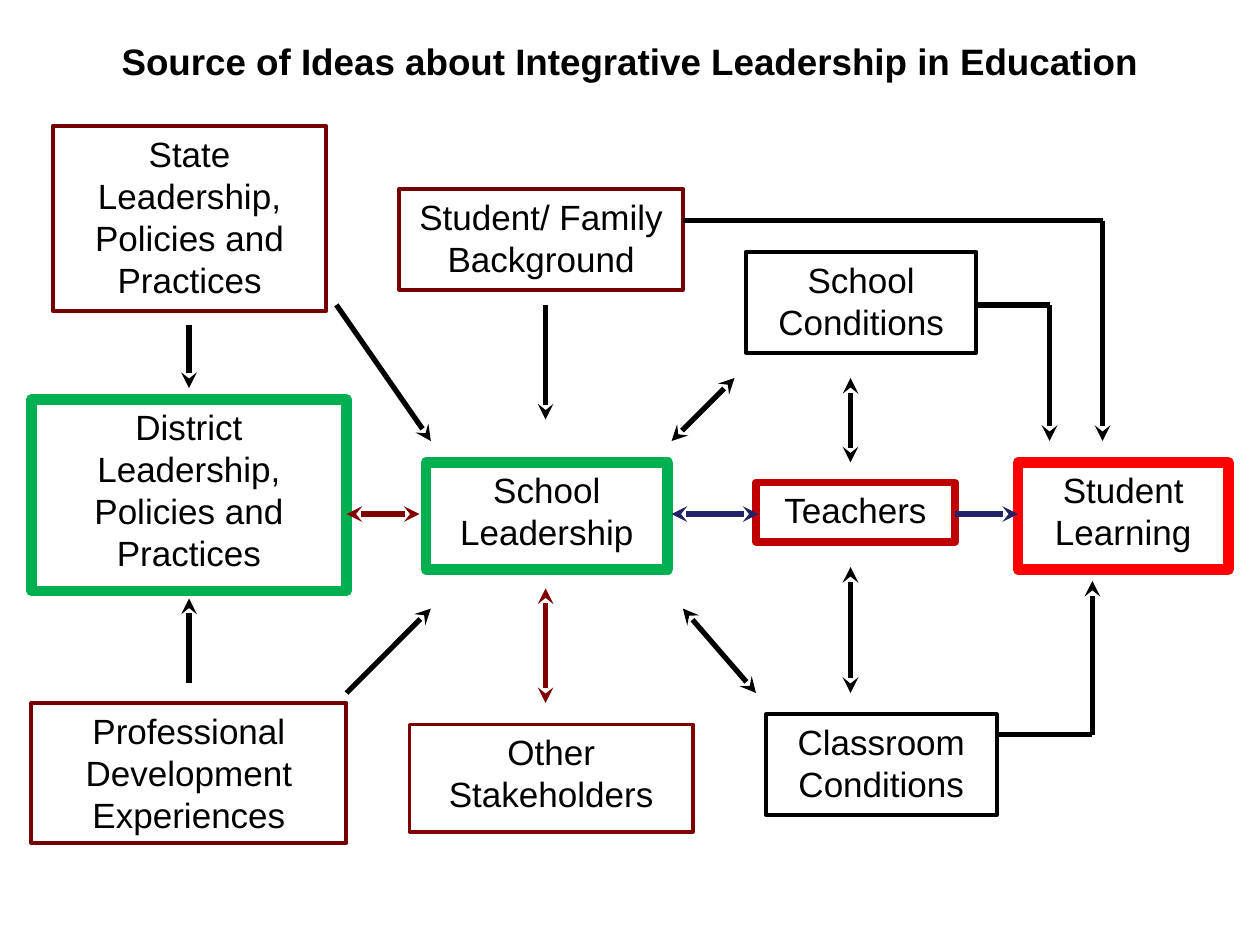
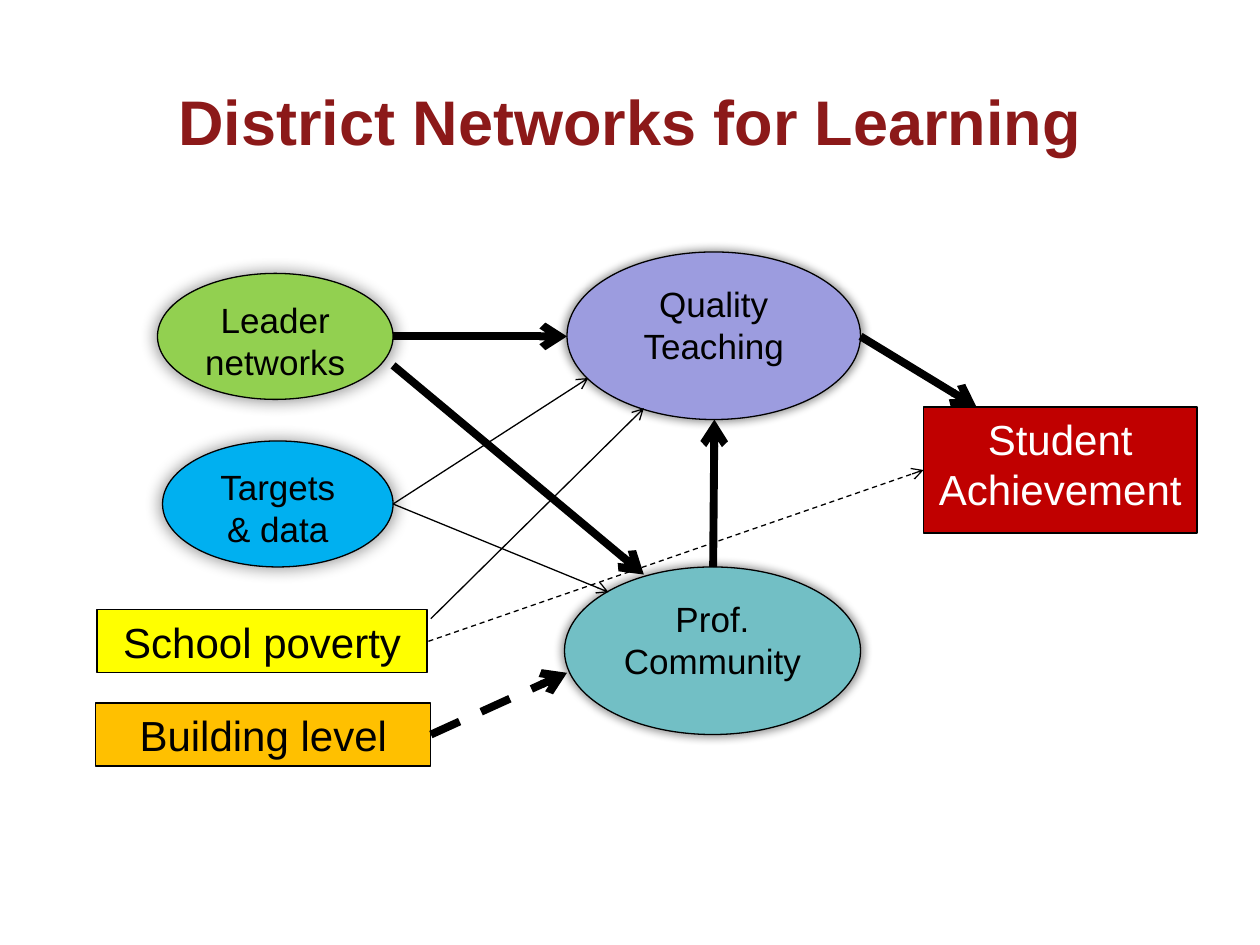
from dataclasses import dataclass
from itertools import pairwise
from typing import Optional

from lxml import etree
from pptx import Presentation
from pptx.dml.color import RGBColor
from pptx.enum.dml import MSO_LINE
from pptx.enum.shapes import MSO_CONNECTOR, MSO_SHAPE
from pptx.enum.text import MSO_ANCHOR, MSO_AUTO_SIZE, PP_ALIGN
from pptx.oxml.ns import qn
from pptx.util import Inches, Pt

RECTANGLE, OVAL = MSO_SHAPE.RECTANGLE, MSO_SHAPE.OVAL
STRAIGHT, DASH = MSO_CONNECTOR.STRAIGHT, MSO_LINE.DASH
CENTER = PP_ALIGN.CENTER
TOP, MIDDLE = MSO_ANCHOR.TOP, MSO_ANCHOR.MIDDLE
FIXED, GROW = MSO_AUTO_SIZE.NONE, MSO_AUTO_SIZE.SHAPE_TO_FIT_TEXT
TITLE_ONLY_LAYOUT = 5


@dataclass(frozen=True)
class Theme:
    font: str = "Arial"
    black: str = "000000"
    white: str = "FFFFFF"
    title_red: str = "8C1919"
    maroon: str = "740000"
    stakeholder_red: str = "800000"
    teacher_red: str = "C00000"
    learning_red: str = "FF0000"
    leader_green: str = "00B050"
    navy: str = "222267"
    lime: str = "92D050"
    sky: str = "00B0F0"
    teal: str = "72BFC5"
    lavender: str = "9C9CDF"
    yellow: str = "FFFF00"
    amber: str = "FFC000"
    diagram_title_size: float = 21
    slide_title_size: float = 36
    label_size: float = 20
    large_label_size: float = 24
    hairline: float = 0.75
    outline: float = 2.25
    arrow: float = 3
    heavy: float = 4.5
    frame: float = 6


THEME = Theme()


@dataclass(frozen=True)
class Node:
    text: str
    left: float
    top: float
    width: float
    height: float
    line_color: str = THEME.black
    line_width: float = THEME.hairline
    fill: Optional[str] = None
    kind: MSO_SHAPE = RECTANGLE
    size: float = THEME.label_size
    text_color: str = THEME.black
    shadow_blur: float = 0


@dataclass(frozen=True)
class Route:
    """A line through points, with an arrowhead at its end or at both ends."""
    points: tuple
    color: str = THEME.black
    width: float = THEME.arrow
    both: bool = False
    dashed: bool = False
    head: str = "stealth"


def outlined(text, left, top, width, height, color, line_width=THEME.outline) -> Node:
    return Node(text, left, top, width, height, color, line_width)


def oval(text, left, top, width, height, fill, blur) -> Node:
    return Node(text, left, top, width, height, fill=fill, kind=OVAL, shadow_blur=blur)


def panel(text, left, top, width, height, fill, text_color=THEME.black) -> Node:
    return Node(text, left, top, width, height, fill=fill,
                size=THEME.large_label_size, text_color=text_color)


def open_arrow(start, end, width=THEME.hairline, dashed=False) -> Route:
    return Route((start, end), width=width, dashed=dashed, head="arrow")


LEADERSHIP_NODES = [
    outlined("School Leadership", 3.38, 3.67, 1.92, 0.85, THEME.leader_green, THEME.frame),
    outlined("Student Learning", 8.08, 3.67, 1.67, 0.85, THEME.learning_red, THEME.frame),
    outlined("Teachers", 6, 3.83, 1.58, 0.47, THEME.teacher_red, THEME.heavy),
    outlined("School Conditions", 5.92, 2, 1.83, 0.8, THEME.black),
    outlined("Classroom Conditions", 6.08, 5.67, 1.83, 0.8, THEME.black),
    outlined("Student/ Family Background", 3.17, 1.5, 2.25, 0.8, THEME.maroon),
    outlined("Other Stakeholders", 3.25, 5.75, 2.25, 0.85, THEME.stakeholder_red),
    outlined("State Leadership, Policies and Practices", 0.42, 1, 2.17, 1.47, THEME.maroon),
    outlined("District Leadership, Policies and Practices", 0.25, 3.17, 2.5, 1.52,
             THEME.leader_green, THEME.frame),
    outlined("Professional Development Experiences", 0.25, 5.58, 2.5, 1.11, THEME.maroon),
]

DISTRICT_X, SCHOOL_X, TEACHER_X, MAIN_ROW_Y = 1.5, 4.33, 6.75, 4.08
LEADERSHIP_ROUTES = [
    Route(((5.33, MAIN_ROW_Y), (6.02, MAIN_ROW_Y)), THEME.navy, both=True),
    Route(((7.58, MAIN_ROW_Y), (8.08, MAIN_ROW_Y)), THEME.navy),
    Route(((2.75, MAIN_ROW_Y), (3.33, MAIN_ROW_Y)), THEME.stakeholder_red, both=True),
    Route(((DISTRICT_X, 2.58), (DISTRICT_X, 3.08))),
    Route(((DISTRICT_X, 5.42), (DISTRICT_X, 4.75))),
    Route(((SCHOOL_X, 2.42), (SCHOOL_X, 3.33))),
    Route(((SCHOOL_X, 4.67), (SCHOOL_X, 5.58)), THEME.stakeholder_red, both=True),
    Route(((TEACHER_X, 3), (TEACHER_X, 3.67)), both=True),
    Route(((TEACHER_X, 4.5), (TEACHER_X, 5.5)), both=True),
    Route(((2.67, 2.42), (3.42, 3.5))),
    Route(((2.75, 5.5), (3.42, 4.83))),
    Route(((5.33, 3.5), (5.83, 3)), both=True),
    Route(((5.42, 4.83), (6, 5.5)), both=True),
    Route(((5.42, 1.75), (8.75, 1.75), (8.75, 3.5))),
    Route(((7.75, 2.42), (8.33, 2.42), (8.33, 3.5))),
    Route(((7.92, 5.83), (8.67, 5.83), (8.67, 4.61))),
]

WIDE_BLUR, NARROW_BLUR = 9, 5
NETWORK_NODES = [
    oval("Leader\nnetworks", 1.25, 2.17, 1.87, 1, THEME.lime, WIDE_BLUR),
    oval("Targets & data", 1.29, 3.5, 1.83, 1, THEME.sky, WIDE_BLUR),
    oval("Prof.\nCommunity", 4.48, 4.5, 2.35, 1.33, THEME.teal, NARROW_BLUR),
    oval("Quality\nTeaching", 4.5, 2, 2.33, 1.33, THEME.lavender, NARROW_BLUR),
    panel("School poverty", 0.77, 4.84, 2.62, 0.5, THEME.yellow),
    panel("Building level", 0.76, 5.58, 2.66, 0.5, THEME.amber),
    panel("Student Achievement", 7.33, 3.23, 2.17, 1, THEME.teacher_red, THEME.white),
]

TARGETS_EDGE = (3.12, 4)
NETWORK_ROUTES = [
    open_arrow((3.12, 2.67), (4.5, 2.67), THEME.heavy),
    open_arrow(TARGETS_EDGE, (4.67, 3)),
    open_arrow((3.42, 4.91), (5.11, 3.24)),
    open_arrow((3.12, 2.9), (5.11, 4.56), THEME.heavy),
    open_arrow(TARGETS_EDGE, (4.83, 4.7)),
    open_arrow((3.42, 5.83), (4.5, 5.34), THEME.heavy, dashed=True),
    open_arrow((6.83, 2.67), (7.75, 3.23), THEME.heavy),
    open_arrow((3.4, 5.09), (7.33, 3.73), dashed=True),
    open_arrow((5.66, 4.5), (5.67, 3.33), THEME.heavy),
]


def write_text(text_frame, text: str, size: float, color: str, bold: bool = False) -> None:
    text_frame.text = text
    text_frame.word_wrap = True
    for paragraph in text_frame.paragraphs:
        paragraph.alignment = CENTER
        for run in paragraph.runs:
            run.font.name = THEME.font
            run.font.size = Pt(size)
            run.font.bold = bold
            run.font.color.rgb = RGBColor.from_string(color)


def add_soft_shadow(shape, blur: float) -> None:
    """Surround the shape with a slightly enlarged, blurred black shadow."""
    effects = shape._element.spPr.find(qn("a:effectLst"))
    shadow = etree.SubElement(effects, qn("a:outerShdw"), blurRad=str(Pt(blur)),
                              sx="102000", sy="102000", algn="ctr", rotWithShape="0")
    color = etree.SubElement(shadow, qn("a:prstClr"), val="black")
    etree.SubElement(color, qn("a:alpha"), val="40000")


def add_node(slide, node: Node) -> None:
    shape = slide.shapes.add_shape(node.kind, Inches(node.left), Inches(node.top),
                                   Inches(node.width), Inches(node.height))
    shape.shadow.inherit = False
    if node.shadow_blur:
        add_soft_shadow(shape, node.shadow_blur)
    if node.fill:
        shape.fill.solid()
        shape.fill.fore_color.rgb = RGBColor.from_string(node.fill)
    else:
        shape.fill.background()
    shape.line.color.rgb = RGBColor.from_string(node.line_color)
    shape.line.width = Pt(node.line_width)
    write_text(shape.text_frame, node.text, node.size, node.text_color)
    shape.text_frame.vertical_anchor = TOP
    shape.text_frame.auto_size = FIXED if node.fill else GROW


def add_route(slide, route: Route) -> None:
    last_point = route.points[-1]
    for start, end in pairwise(route.points):
        connector = slide.shapes.add_connector(STRAIGHT, *map(Inches, start + end))
        connector.line.color.rgb = RGBColor.from_string(route.color)
        connector.line.width = Pt(route.width)
        if route.dashed:
            connector.line.dash_style = DASH
        properties = connector._element.spPr
        outline = properties.find(qn("a:ln"))
        if route.both:
            etree.SubElement(outline, qn("a:headEnd"), type=route.head)
        if end == last_point:
            etree.SubElement(outline, qn("a:tailEnd"), type=route.head)
        etree.SubElement(properties, qn("a:effectLst"))


def add_titled_slide(presentation, text: str, box: tuple, size: float, color: str):
    slide = presentation.slides.add_slide(presentation.slide_layouts[TITLE_ONLY_LAYOUT])
    title = slide.shapes.title
    title.left, title.top, title.width, title.height = map(Inches, box)
    write_text(title.text_frame, text, size, color, bold=True)
    title.text_frame.vertical_anchor = MIDDLE
    title.text_frame.auto_size = FIXED
    return slide


def draw_diagram(slide, nodes: list[Node], routes: list[Route]) -> None:
    for node in nodes:
        add_node(slide, node)
    for route in routes:
        add_route(slide, route)


def main() -> None:
    presentation = Presentation()
    presentation.slide_width, presentation.slide_height = Inches(10), Inches(7.5)

    leadership = add_titled_slide(
        presentation, "Source of Ideas about Integrative Leadership in Education",
        (0.25, 0.25, 9.5, 0.47), THEME.diagram_title_size, THEME.black)
    draw_diagram(leadership, LEADERSHIP_NODES, LEADERSHIP_ROUTES)

    networks = add_titled_slide(
        presentation, "District Networks for Learning",
        (0.75, 0.33, 8.5, 1.25), THEME.slide_title_size, THEME.title_red)
    draw_diagram(networks, NETWORK_NODES, NETWORK_ROUTES)

    presentation.save("out.pptx")


if __name__ == "__main__":
    main()
